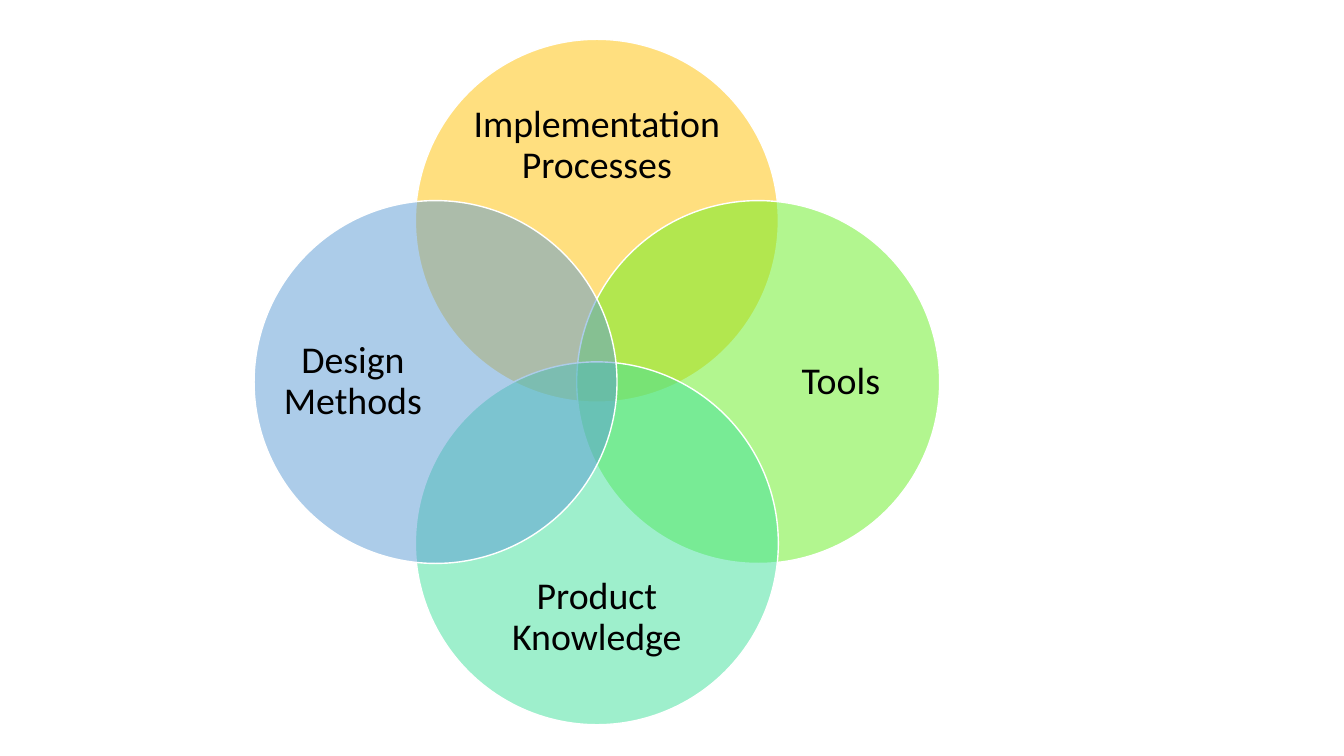
from pptx import Presentation
from pptx.dml.color import RGBColor
from pptx.enum.shapes import MSO_SHAPE
from pptx.enum.text import MSO_ANCHOR, PP_ALIGN
from pptx.oxml.ns import qn
from pptx.util import Inches, Pt
from lxml.etree import SubElement

GOLD = RGBColor(0xFF, 0xC0, 0x00)
LIME = RGBColor(0x67, 0xEF, 0x21)
MINT = RGBColor(0x3F, 0xE1, 0x9B)
BLUE = RGBColor(0x5B, 0x9B, 0xD5)
WHITE = RGBColor(0xFF, 0xFF, 0xFF)
BLACK = RGBColor(0, 0, 0)

CIRCLES = [
    ("Implementation Processes", GOLD, 0, -1),
    ("Tools", LIME, 1, 0),
    ("Product Knowledge", MINT, 0, 1),
    ("Design Methods", BLUE, -1, 0),
]
MID_X, MID_Y = 5.92, 3.79
SIZE, STEP = 3.6, 1.6
WIDE, TALL = (2.77, 1.14), (1.39, 2.77)


def place(x, y, width, height):
    return [Inches(v) for v in (x - width / 2, y - height / 2, width, height)]


def add_circle(group, color, x, y):
    circle = group.shapes.add_shape(MSO_SHAPE.OVAL, *place(x, y, SIZE, SIZE))
    circle.shadow.inherit = False
    circle.fill.solid()
    circle.fill.fore_color.rgb = color
    tint = circle.fill._xPr.find(qn("a:solidFill"))[0]
    SubElement(tint, qn("a:alpha"), val="50000")
    circle.line.color.rgb = WHITE
    circle.line.width = Pt(1)


def add_label(group, text, x, y, size):
    frame = group.shapes.add_textbox(*place(x, y, *size)).text_frame
    frame.word_wrap = True
    frame.vertical_anchor = MSO_ANCHOR.MIDDLE
    frame.margin_left = frame.margin_right = 0
    frame.margin_top = frame.margin_bottom = 0
    para = frame.paragraphs[0]
    para.text = text
    para.alignment = PP_ALIGN.CENTER
    para.line_spacing = 0.9
    para.font.name = "Calibri"
    para.font.size = Pt(27)
    para.font.color.rgb = BLACK


deck = Presentation()
deck.slide_width, deck.slide_height = Inches(13.33), Inches(7.5)
slide = deck.slides.add_slide(deck.slide_layouts[6])
venn = slide.shapes.add_group_shape()
for text, color, dx, dy in CIRCLES:
    add_circle(venn, color, MID_X + dx * STEP, MID_Y + dy * STEP)
    size, reach = (TALL, 2.42) if dx else (WIDE, 2.34)
    add_label(venn, text, MID_X + dx * reach, MID_Y + dy * reach, size)

deck.save("out.pptx")
